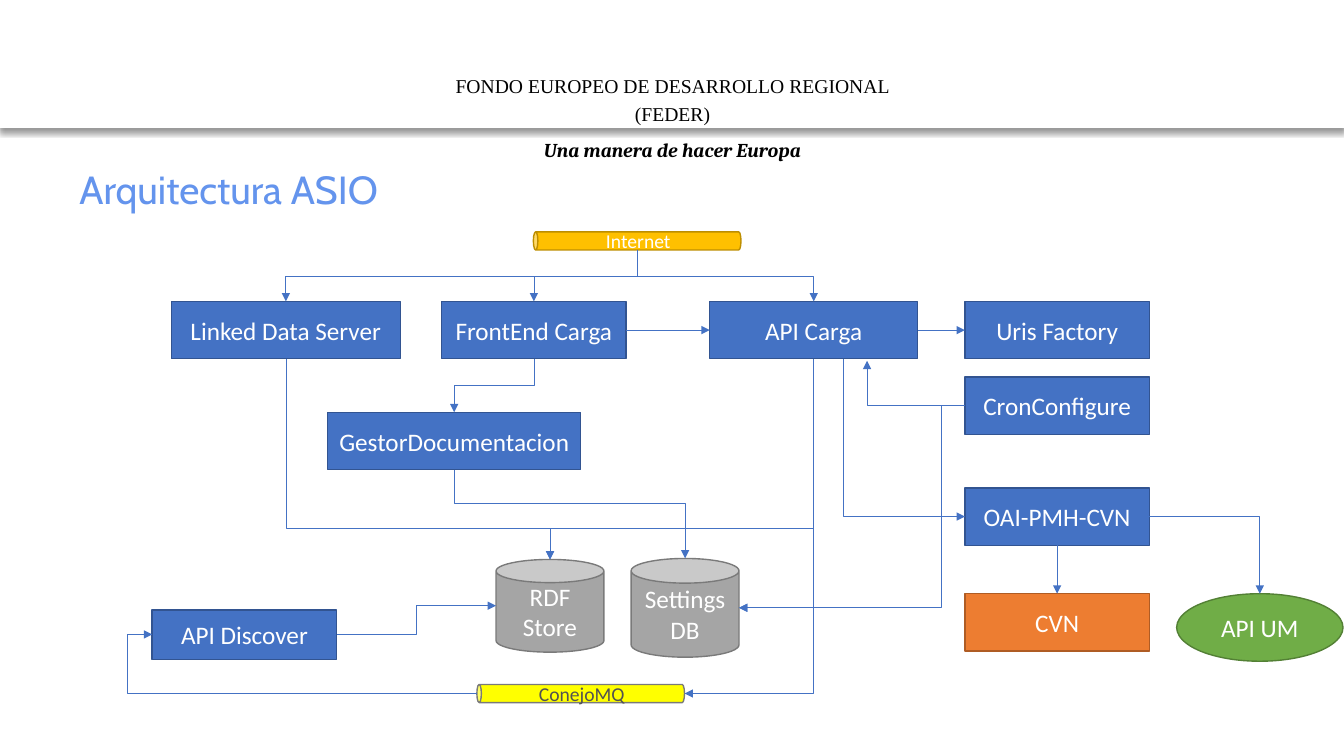
from dataclasses import dataclass

from lxml.etree import SubElement
from pptx import Presentation
from pptx.dml.color import RGBColor
from pptx.enum.shapes import MSO_CONNECTOR, MSO_SHAPE
from pptx.enum.text import MSO_ANCHOR, PP_ALIGN
from pptx.oxml.ns import qn
from pptx.util import Inches, Pt

TOP, LEFT, BOTTOM, RIGHT = range(4)


@dataclass(frozen=True)
class Theme:
    white: str = "FFFFFF"
    black: str = "000000"
    title: str = "6494ED"
    arrow: str = "4472C4"
    service: tuple = ("4472C4", "325491")
    store: tuple = ("A5A5A5", "7A7A7A")
    internet: tuple = ("FFC000", "BD8E00")
    queue: tuple = ("FFFF00", "7A7A7A")
    queue_text: str = "525252"
    cvn: tuple = ("ED7D31", "AF5C24")
    external: tuple = ("70AD47", "538035")
    title_size: int = 28
    node_size: int = 18
    small_size: int = 14
    body_font: str = "Calibri"
    title_font: str = "Cabin"
    fund_font: str = "Times New Roman"
    motto_font: str = "Cambria"


THEME = Theme()


def add_run(paragraph, text, size, font, color, bold=False, italic=False):
    run = paragraph.add_run()
    run.text = text
    run.font.size = Pt(size)
    run.font.name = font
    run.font.bold = bold
    run.font.italic = italic
    run.font.color.rgb = RGBColor.from_string(color)


def add_panel(slide, preset, at, colors):
    panel = slide.shapes.add_shape(preset, *map(Inches, at))
    panel.shadow.inherit = False
    fill, line = colors
    panel.fill.solid()
    panel.fill.fore_color.rgb = RGBColor.from_string(fill)
    panel.line.color.rgb = RGBColor.from_string(line)
    panel.line.width = Pt(1)
    return panel


def add_node(slide, text, at, colors=THEME.service, preset=MSO_SHAPE.RECTANGLE,
             size=THEME.node_size, color=THEME.white):
    node = add_panel(slide, preset, at, colors)
    frame = node.text_frame
    frame.word_wrap = True
    frame.vertical_anchor = MSO_ANCHOR.MIDDLE
    paragraph = frame.paragraphs[0]
    paragraph.alignment = PP_ALIGN.CENTER
    add_run(paragraph, text, size, THEME.body_font, color)
    return node


def add_pipe(slide, text, at, colors, color):
    pipe = add_node(slide, text, at, colors, MSO_SHAPE.CAN, THEME.small_size, color)
    pipe.rotation = 270
    pipe.text_frame._txBody.bodyPr.set("vert", "vert")
    return pipe


def add_text_box(slide, at):
    box = slide.shapes.add_textbox(*map(Inches, at))
    box.text_frame.word_wrap = True
    return box.text_frame


def add_header(slide):
    band = add_panel(slide, MSO_SHAPE.RECTANGLE, (0, 0, 13.33, 1.26),
                     (THEME.white, THEME.white))
    effects = band._element.spPr.find(qn("a:effectLst"))
    shadow = SubElement(effects, qn("a:outerShdw"), blurRad=str(Pt(4)),
                        dist=str(Pt(3)), dir="5400000", algn="t", rotWithShape="0")
    shade = SubElement(shadow, qn("a:srgbClr"), val=THEME.black)
    SubElement(shade, qn("a:alpha"), val="40000")

    header = add_text_box(slide, (4.08, 0.64, 5.18, 1.02))
    fund, motto = header.paragraphs[0], header.add_paragraph()
    for paragraph, spacing in ((fund, 1.2), (motto, 1.5)):
        paragraph.alignment = PP_ALIGN.CENTER
        paragraph.line_spacing = spacing
    add_run(fund, "FONDO EUROPEO DE DESARROLLO REGIONAL (FEDER)",
            THEME.small_size, THEME.fund_font, THEME.black)
    add_run(motto, "Una manera de hacer Europa",
            THEME.small_size, THEME.motto_font, THEME.black, True, True)

    title = add_text_box(slide, (0.69, 1.59, 8.26, 0.57))
    add_run(title.paragraphs[0], "Arquitectura ASIO",
            THEME.title_size, THEME.title_font, THEME.title)


def side(node, number):
    width, height = node.width, node.height
    if node.rotation:
        width, height = height, width
    x, y = node.left + node.width // 2, node.top + node.height // 2
    return {
        TOP: (x, y - height // 2),
        LEFT: (x - width // 2, y),
        BOTTOM: (x, y + height // 2),
        RIGHT: (x + width // 2, y),
    }[number]


def style_arrow(arrow):
    arrow.line.color.rgb = RGBColor.from_string(THEME.arrow)
    arrow.line.width = Pt(0.5)
    SubElement(arrow.line._get_or_add_ln(), qn("a:tailEnd"), type="triangle")
    SubElement(arrow._element.spPr, qn("a:effectLst"))


def add_straight(slide, source, source_side, target, target_side):
    arrow = slide.shapes.add_connector(
        MSO_CONNECTOR.STRAIGHT, *side(source, source_side), *side(target, target_side))
    arrow.begin_connect(source, source_side)
    arrow.end_connect(target, target_side)
    style_arrow(arrow)


def add_elbow(slide, start, end, bend=None, down_first=False):
    (x1, y1), (x2, y2) = start, end
    corners = (x1, y1, x2, y2)
    if down_first:
        run, drop = abs(x2 - x1), y2 - y1
        left, top = (x1 + x2 - drop) // 2, (y1 + y2 - run) // 2
        corners = (left, top, left + drop, top + run)
    arrow = slide.shapes.add_connector(MSO_CONNECTOR.ELBOW, *corners)
    properties = arrow._element.spPr
    if down_first:
        frame = properties.find(qn("a:xfrm"))
        frame.set("rot", str((270 if x2 > x1 else 90) * 60000))
        if x2 > x1:
            frame.set("flipH", "1")
    geometry = properties.find(qn("a:prstGeom"))
    if bend is None:
        geometry.set("prst", "bentConnector2")
    else:
        first, last = (y1, y2) if down_first else (x1, x2)
        share = round((Inches(bend) - first) / (last - first) * 100000)
        SubElement(geometry.find(qn("a:avLst")), qn("a:gd"),
                   name="adj1", fmla=f"val {share}")
    style_arrow(arrow)


def main():
    deck = Presentation()
    deck.slide_width, deck.slide_height = Inches(13.33), Inches(7.5)
    slide = deck.slides.add_slide(deck.slide_layouts[6])
    add_header(slide)

    linked_data = add_node(slide, "Linked Data Server", (1.7, 2.99, 2.27, 0.57))
    front_end = add_node(slide, "FrontEnd Carga", (4.38, 2.99, 1.83, 0.57))
    api_carga = add_node(slide, "API Carga", (7.04, 2.99, 2.06, 0.57))
    uris, cron, oai = [
        add_node(slide, text, (9.57, top, 1.83, 0.57))
        for text, top in (("Uris Factory", 2.99), ("CronConfigure", 3.74),
                          ("OAI-PMH-CVN", 4.84))
    ]
    cvn = add_node(slide, "CVN", (9.57, 5.89, 1.83, 0.57), THEME.cvn)
    documents = add_node(slide, "GestorDocumentacion", (3.25, 4.09, 2.51, 0.57))
    discover = add_node(slide, "API Discover", (1.51, 6.05, 1.83, 0.49))
    rdf = add_node(slide, "RDF Store", (4.92, 5.55, 1.07, 0.92),
                   THEME.store, MSO_SHAPE.CAN)
    settings = add_node(slide, "Settings DB", (6.26, 5.54, 1.07, 0.98),
                        THEME.store, MSO_SHAPE.CAN)
    api_um = add_node(slide, "API UM", (11.67, 5.89, 1.65, 0.67),
                      THEME.external, MSO_SHAPE.OVAL)
    internet = add_pipe(slide, "Internet", (6.23, 1.36, 0.18, 2.06),
                        THEME.internet, THEME.white)
    queue = add_pipe(slide, "ConejoMQ", (5.67, 5.85, 0.18, 2.06),
                     THEME.queue, THEME.queue_text)

    add_straight(slide, front_end, RIGHT, api_carga, LEFT)
    add_straight(slide, api_carga, RIGHT, uris, LEFT)
    add_straight(slide, oai, BOTTOM, cvn, TOP)

    for source, target, bend in (
        (internet, linked_data, 2.74),
        (internet, front_end, 2.74),
        (internet, api_carga, 2.74),
        (front_end, documents, 3.82),
        (documents, settings, 4.99),
        (linked_data, rdf, 5.24),
        (api_carga, rdf, 5.24),
    ):
        add_elbow(slide, side(source, BOTTOM), side(target, TOP), bend, True)

    for start, end in (
        (side(api_carga, BOTTOM), side(settings, RIGHT)),
        (side(api_carga, BOTTOM), side(queue, RIGHT)),
        ((Inches(8.36), Inches(3.56)), side(oai, LEFT)),
    ):
        add_elbow(slide, start, end, down_first=True)

    add_elbow(slide, side(cron, LEFT), (Inches(8.6), Inches(3.58)))
    add_elbow(slide, side(oai, RIGHT), side(api_um, TOP))
    add_elbow(slide, side(cron, LEFT), side(settings, RIGHT), 9.34)
    add_elbow(slide, side(queue, LEFT), side(discover, LEFT), 1.26)
    add_elbow(slide, side(discover, RIGHT), side(rdf, LEFT), 4.13)

    deck.save("out.pptx")


if __name__ == "__main__":
    main()
